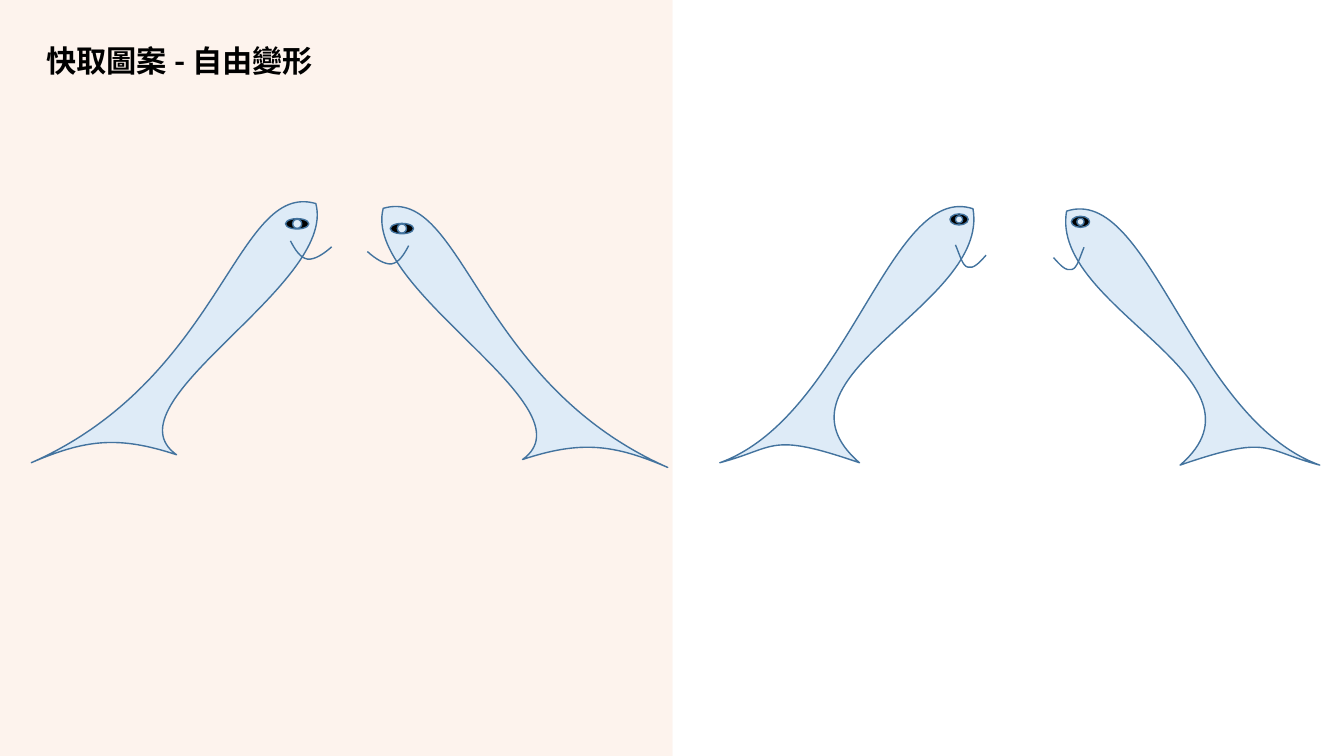
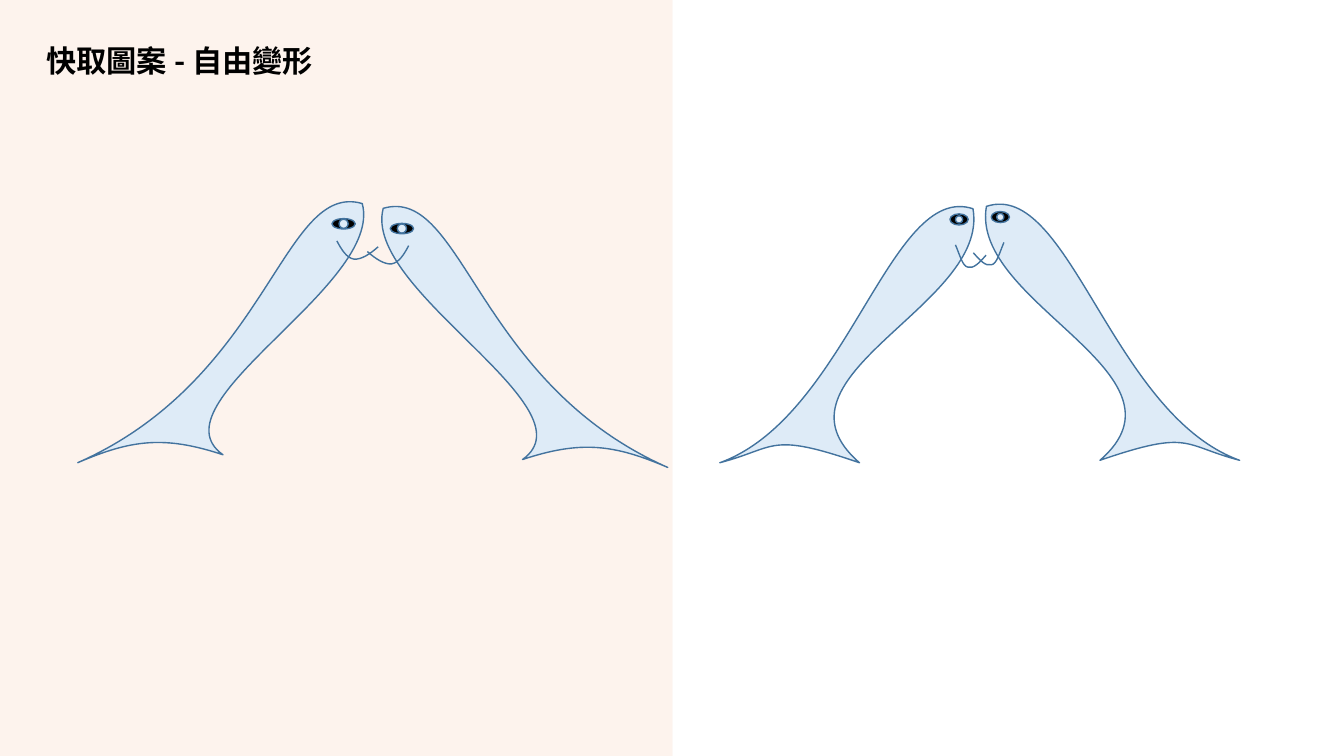
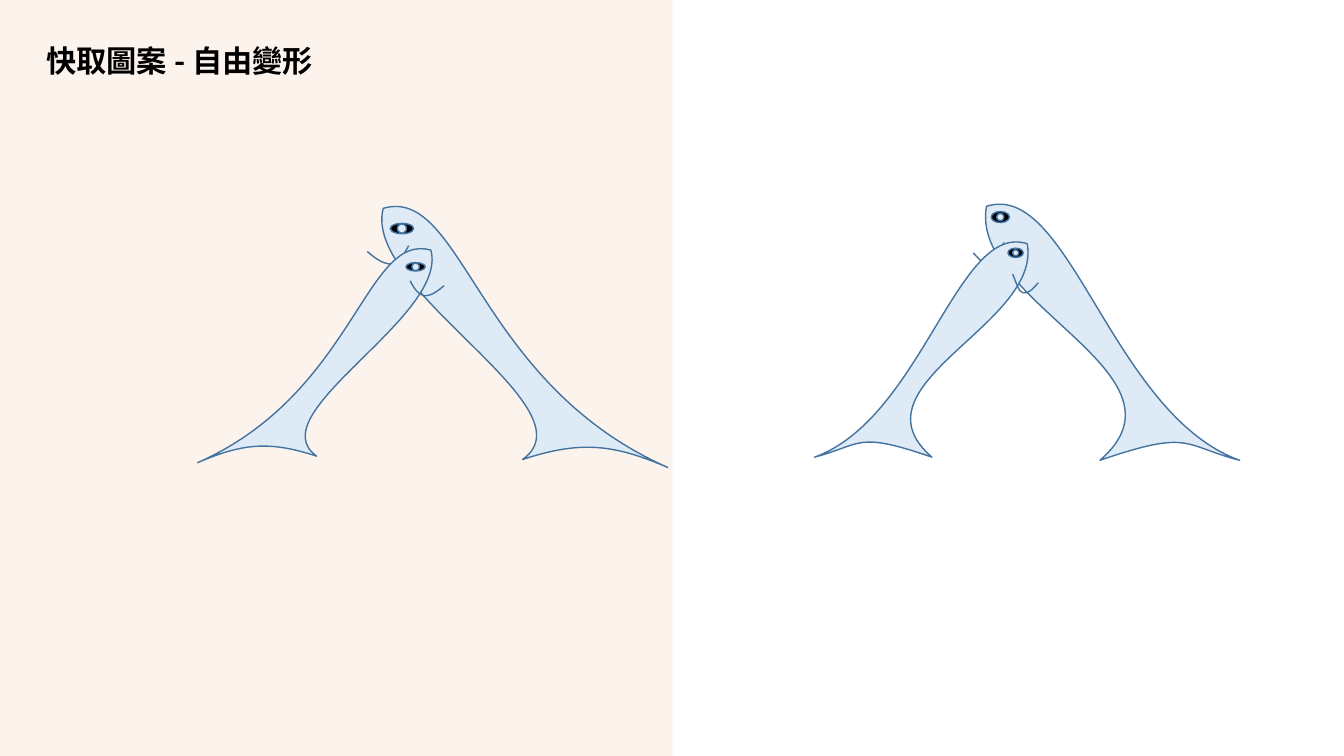
from dataclasses import dataclass

from lxml import etree
from pptx import Presentation
from pptx import util as u
from pptx.dml.color import RGBColor
from pptx.enum import shapes, text
from pptx.oxml.ns import qn
from pptx.shapes.base import BaseShape
from pptx.shapes.group import GroupShape
from pptx.slide import Slide, SlideLayout

# Shared look
BAND = RGBColor(0xF4, 0xB1, 0x83)
DIVIDER = RGBColor(0xFB, 0xE5, 0xD6)
BODY = RGBColor(0xDE, 0xEB, 0xF7)
OUTLINE = RGBColor(0x43, 0x73, 0x9E)
BLACK = RGBColor(0, 0, 0)
FONT = "Noto Sans CJK SC"
TITLE = "快取圖案 - 自由變形"
WIDTH, HEIGHT, MIDDLE = 33.87, 19.05, 16.94
BOUNDS_STEPS = 50

Point = tuple[float, float]


@dataclass(frozen=True)
class FishModel:
    """A fish facing right, in cm from its tail tip; curves are cubic chains."""
    body: list[Point]
    fin: list[Point]
    eye: Point
    eye_size: Point
    pupil: float


@dataclass(frozen=True)
class Fish:
    model: FishModel
    x: float
    y: float
    scale: float = 1
    mirrored: bool = False

    def place(self, point: Point) -> Point:
        side = -1 if self.mirrored else 1
        return self.x + side * self.scale * point[0], self.y + self.scale * point[1]


SLIM = FishModel(
    body=[(3.66, -0.2),
          (1.83, -1.5), (7.72, -4.47), (7.17, -6.53),
          (5.16, -7.11), (4.83, -2.13), (0, 0),
          (1.35, -0.58), (2.18, -0.69), (3.66, -0.2)],
    fin=[(7.57, -5.44),
         (7.37, -5.26), (7.14, -5.11), (6.96, -5.13),
         (6.78, -5.16), (6.65, -5.36), (6.53, -5.59)],
    eye=(6.7, -6.02), eye_size=(0.59, 0.26), pupil=0.23)

BROAD = FishModel(
    body=[(3.52, 0),
          (1.22, -0.79), (1.45, -0.38), (0, 0),
          (3.23, -1.17), (4.29, -7.09), (6.38, -6.4),
          (6.81, -3.96), (0.99, -2.18), (3.52, 0)],
    fin=[(6.71, -5.23),
         (6.55, -5.05), (6.4, -4.88), (6.25, -4.93),
         (6.12, -4.95), (6.05, -5.23), (5.94, -5.49)],
    eye=(6.03, -6.13), eye_size=(0.46, 0.28), pupil=0.18)

# Fish on each slide, back to front
SLIM_LEFT_FACING = Fish(SLIM, 16.83, 11.78, mirrored=True)
BROAD_RIGHT_FACING = Fish(BROAD, 18.14, 11.66)
BROAD_LEFT_FACING = Fish(BROAD, 31.24, 11.6, mirrored=True)
SCENES = [
    [Fish(SLIM, 0.79, 11.66), SLIM_LEFT_FACING,
     BROAD_RIGHT_FACING, Fish(BROAD, 33.26, 11.72, mirrored=True)],
    [Fish(SLIM, 1.96, 11.66), SLIM_LEFT_FACING,
     BROAD_RIGHT_FACING, BROAD_LEFT_FACING],
    [SLIM_LEFT_FACING, Fish(SLIM, 4.98, 11.66, scale=0.82),
     BROAD_LEFT_FACING, Fish(BROAD, 20.53, 11.52, scale=0.84)],
]


def set_opacity(shape: BaseShape, percent: int) -> None:
    for colour in shape.element.spPr.iter(qn("a:srgbClr")):
        etree.SubElement(colour, qn("a:alpha")).set("val", str(percent * 1000))


def curve_range(values: list[int]) -> tuple[int, int]:
    """Lowest and highest value that a chain of cubic curves reaches on one axis."""
    reached = []
    for first in range(0, len(values) - 1, 3):
        a, b, c, d = values[first:first + 4]
        for step in range(BOUNDS_STEPS + 1):
            t = step / BOUNDS_STEPS
            s = 1 - t
            reached.append(s ** 3 * a + 3 * s * s * t * b + 3 * s * t * t * c + t ** 3 * d)
    return round(min(reached)), round(max(reached))


def style(shape: BaseShape, fill: RGBColor | None) -> None:
    shape.shadow.inherit = False
    if fill is None:
        shape.fill.background()
    else:
        shape.fill.solid()
        shape.fill.fore_color.rgb = fill
    shape.line.color.rgb = OUTLINE
    shape.line.width = u.Pt(1)


def add_curve(group: GroupShape, fish: Fish, chain: list[Point],
              fill: RGBColor | None = None) -> None:
    points = [tuple(u.Cm(value) for value in fish.place(point)) for point in chain]
    builder = group.shapes.build_freeform(*points[0])
    builder.add_line_segments(points[1:], close=fill is not None)
    curve = builder.convert_to_shape()

    # Fit the frame to the curve, not to its control points
    (left, right), (top, bottom) = (curve_range(list(axis)) for axis in zip(*points))
    curve.left, curve.top = left, top
    curve.width, curve.height = right - left, bottom - top
    outline = next(curve.element.iter(qn("a:path")))
    outline.set("w", str(right - left))
    outline.set("h", str(bottom - top))
    for node, (x, y) in zip(outline.iter(qn("a:pt")), points):
        node.set("x", str(x - left))
        node.set("y", str(y - top))

    # Join every three segments into one cubic curve
    segments = outline.findall(qn("a:lnTo"))
    for first in range(0, len(segments), 3):
        cubic = etree.Element(qn("a:cubicBezTo"))
        segments[first].addprevious(cubic)
        for segment in segments[first:first + 3]:
            cubic.append(segment[0])
            outline.remove(segment)
    style(curve, fill)


def add_oval(group: GroupShape, fish: Fish, size: Point, fill: RGBColor) -> None:
    x, y = fish.place(fish.model.eye)
    width, height = (fish.scale * side for side in size)
    oval = group.shapes.add_shape(shapes.MSO_SHAPE.OVAL, u.Cm(x - width / 2),
                                  u.Cm(y - height / 2), u.Cm(width), u.Cm(height))
    style(oval, fill)


def add_fish(page: Slide, fish: Fish) -> None:
    group = page.shapes.add_group_shape()
    model = fish.model
    add_curve(group, fish, model.body, BODY)
    add_curve(group, fish, model.fin)
    add_oval(group, fish, model.eye_size, BLACK)
    add_oval(group, fish, (model.pupil, model.pupil), BODY)


def add_backdrop(page: Slide, layout: SlideLayout) -> None:
    """Draw the tinted half and its edge, then hand them to the layout."""
    band = page.shapes.add_shape(shapes.MSO_SHAPE.RECTANGLE, 0, 0,
                                 u.Cm(MIDDLE), u.Cm(HEIGHT))
    band.shadow.inherit = False
    band.fill.solid()
    band.fill.fore_color.rgb = BAND
    band.line.fill.background()
    set_opacity(band, 14)

    divider = page.shapes.add_connector(shapes.MSO_CONNECTOR.STRAIGHT, u.Cm(MIDDLE),
                                        u.Cm(HEIGHT), u.Cm(MIDDLE), 0)
    divider.line.color.rgb = DIVIDER
    divider.line.width = u.Pt(0.25)
    set_opacity(divider, 50)
    etree.SubElement(divider.element.spPr, qn("a:effectLst"))

    for position, shape in enumerate((band, divider), start=2):
        layout.shapes.element.insert(position, shape.element)


def set_title(page: Slide) -> None:
    box = page.shapes.title
    box.left, box.top, box.width, box.height = u.Cm(0.91), u.Cm(1.02), u.Cm(15.11), u.Cm(1.12)
    frame = box.text_frame
    frame.text = TITLE
    frame.word_wrap = False
    frame.auto_size = text.MSO_AUTO_SIZE.NONE
    frame.vertical_anchor = text.MSO_ANCHOR.MIDDLE
    para = frame.paragraphs[0]
    para.alignment = text.PP_ALIGN.LEFT
    para.line_spacing = 0.9
    span = para.runs[0]
    span.font.size = u.Pt(21.6)
    span.font.bold = True
    span.font.name = FONT
    span.font.color.rgb = BLACK
    # East Asian face, for the Chinese characters
    latin = next(box.element.iter(qn("a:latin")))
    east_asian = etree.Element(qn("a:ea"))
    east_asian.set("typeface", FONT)
    latin.addnext(east_asian)


def main() -> None:
    deck = Presentation()
    deck.slide_width, deck.slide_height = u.Cm(WIDTH), u.Cm(HEIGHT)
    layout = deck.slide_layouts.get_by_name("Title Only")
    for number, scene in enumerate(SCENES):
        page = deck.slides.add_slide(layout)
        if number == 0:
            add_backdrop(page, layout)
        set_title(page)
        for fish in scene:
            add_fish(page, fish)
    deck.save("out.pptx")


if __name__ == "__main__":
    main()
